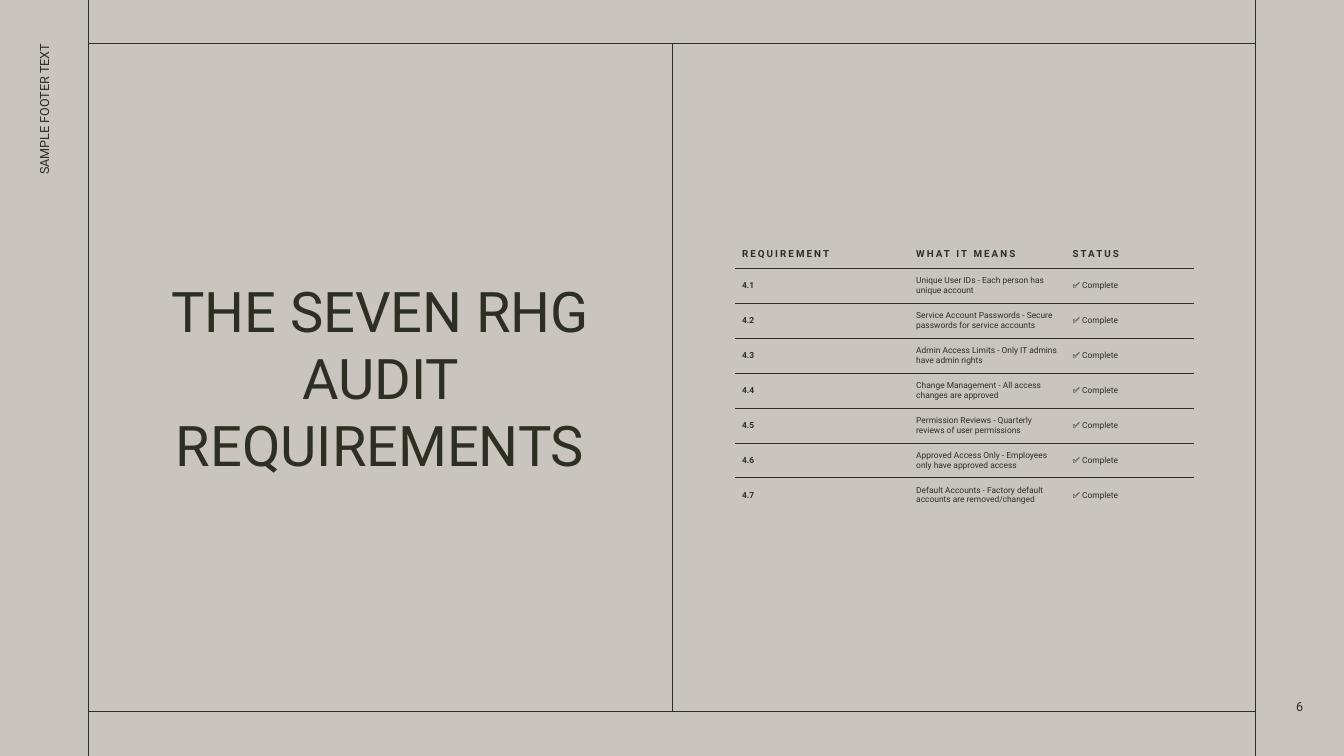
from lxml.etree import SubElement
from pptx import Presentation
from pptx.dml.color import RGBColor
from pptx.enum.shapes import MSO_CONNECTOR
from pptx.enum.text import MSO_ANCHOR, MSO_AUTO_SIZE, PP_ALIGN
from pptx.oxml import parse_xml
from pptx.oxml.ns import nsdecls, qn
from pptx.util import Cm, Pt

INK = "2C2F21"
PAPER = "C9C4BE"
FONT = "Roboto"
WIDTH, HEIGHT = 33.87, 19.05
FRAME_LEFT, FRAME_TOP, FRAME_RIGHT, FRAME_BOTTOM = 2.23, 1.1, 31.63, 17.93
MIDDLE = WIDTH / 2
NO_GRID_STYLE = "{2D5ABB26-0587-4C30-8999-92F81FD0307C}"

HEADERS = ["REQUIREMENT", "WHAT IT MEANS", "STATUS"]
REQUIREMENTS = [
    "Unique User IDs - Each person has unique account",
    "Service Account Passwords - Secure passwords for service accounts",
    "Admin Access Limits - Only IT admins have admin rights",
    "Change Management - All access changes are approved",
    "Permission Reviews - Quarterly reviews of user permissions",
    "Approved Access Only - Employees only have approved access",
    "Default Accounts - Factory default accounts are removed/changed",
]


def color(value):
    return RGBColor.from_string(value)


def write(text_frame, text, size, alignment=PP_ALIGN.LEFT, bold=False):
    text_frame.text = text
    text_frame.word_wrap = True
    paragraph = text_frame.paragraphs[0]
    paragraph.alignment = alignment
    paragraph.font.name = FONT
    paragraph.font.size = Pt(size)
    paragraph.font.bold = bold
    paragraph.font.color.rgb = color(INK)
    return paragraph


def add_rule(slide, x1, y1, x2, y2):
    rule = slide.shapes.add_connector(
        MSO_CONNECTOR.STRAIGHT, Cm(x1), Cm(y1), Cm(x2), Cm(y2))
    rule.line.color.rgb = color(INK)
    rule.line.width = Pt(0.5)
    SubElement(rule._element.spPr, qn("a:effectLst"))


def add_title(slide, text):
    title = slide.shapes.title
    title.left, title.top = Cm(3.61), Cm(2.26)
    title.width, title.height = Cm(11.94), Cm(14.48)
    title.text_frame.auto_size = MSO_AUTO_SIZE.NONE
    title.text_frame.vertical_anchor = MSO_ANCHOR.MIDDLE
    write(title.text_frame, text, 40, PP_ALIGN.CENTER)


def add_label(slide, text, left, top, width, alignment, rotation=0):
    label = slide.shapes.add_textbox(Cm(left), Cm(top), Cm(width), Cm(1.02))
    label.rotation = rotation
    label.text_frame.vertical_anchor = MSO_ANCHOR.MIDDLE
    write(label.text_frame, text, 9, alignment)


def add_border(cell, side):
    border = parse_xml(
        f'<a:{side} {nsdecls("a")} w="6350"><a:solidFill>'
        f'<a:srgbClr val="{INK}"/></a:solidFill></a:{side}>')
    cell._tc.get_or_add_tcPr().insert(0, border)


def add_requirements_table(slide):
    rows = [HEADERS]
    for number, meaning in enumerate(REQUIREMENTS, 1):
        rows.append([f"4.{number}", meaning, "✅ Complete"])
    frame = slide.shapes.add_table(
        len(rows), len(HEADERS), Cm(18.52), Cm(6.07), Cm(11.58), Cm(6.85))
    table = frame.table
    table.horz_banding = False
    frame._element.find(".//" + qn("a:tableStyleId")).text = NO_GRID_STYLE
    for column, width in zip(table.columns, [4.39, 3.94, 3.25]):
        column.width = Cm(width)
    for row_index, texts in enumerate(rows):
        is_header = row_index == 0
        table.rows[row_index].height = Cm(0.69 if is_header else 0.88)
        for column_index, text in enumerate(texts):
            cell = table.cell(row_index, column_index)
            cell.fill.background()
            cell.vertical_anchor = MSO_ANCHOR.MIDDLE
            cell.margin_left = cell.margin_right = Cm(0.18)
            cell.margin_top = cell.margin_bottom = Cm(0.18)
            paragraph = write(cell.text_frame, text, 7 if is_header else 6,
                              bold=is_header or column_index == 0)
            if is_header:
                paragraph.runs[0]._r.get_or_add_rPr().set("spc", "150")
            if row_index < len(rows) - 1:
                add_border(cell, "lnB")
            if not is_header:
                add_border(cell, "lnT")


def main():
    presentation = Presentation()
    presentation.slide_width, presentation.slide_height = Cm(WIDTH), Cm(HEIGHT)
    slide = presentation.slides.add_slide(presentation.slide_layouts[5])
    slide.background.fill.solid()
    slide.background.fill.fore_color.rgb = color(PAPER)

    for x in (FRAME_LEFT, FRAME_RIGHT):
        add_rule(slide, x, 0, x, HEIGHT)
    for y in (FRAME_TOP, FRAME_BOTTOM):
        add_rule(slide, FRAME_LEFT, y, FRAME_RIGHT, y)
    add_rule(slide, MIDDLE, FRAME_TOP, MIDDLE, FRAME_BOTTOM)

    add_title(slide, "THE SEVEN RHG AUDIT REQUIREMENTS")
    add_label(slide, "SAMPLE FOOTER TEXT", -2.79, 4.24, 7.8, PP_ALIGN.RIGHT, 270)
    add_label(slide, "6", 32.16, 17.3, 1.19, PP_ALIGN.CENTER)
    add_requirements_table(slide)
    presentation.save("out.pptx")


if __name__ == "__main__":
    main()
